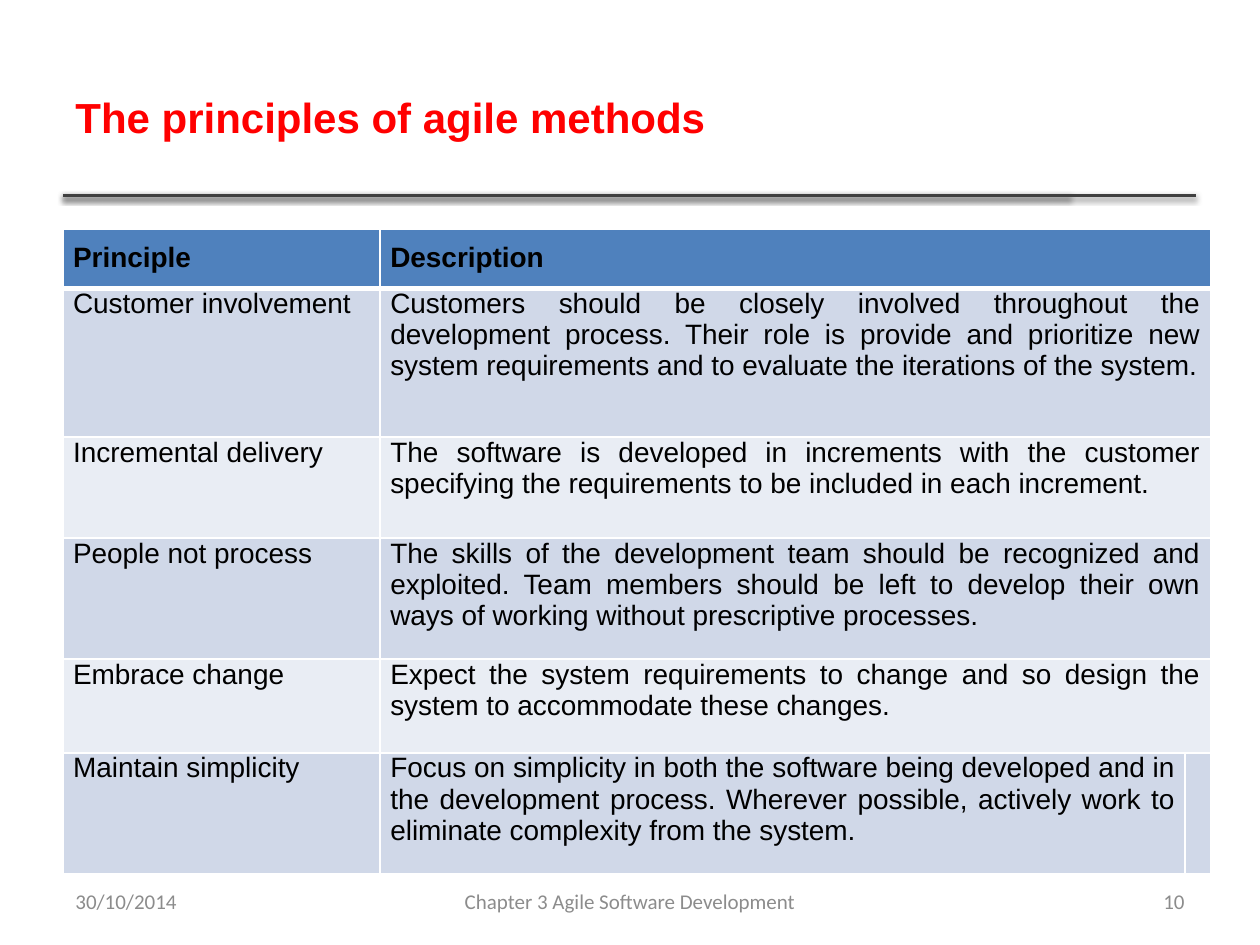
from dataclasses import dataclass

from lxml import etree
from pptx import Presentation
from pptx.dml.color import RGBColor
from pptx.enum.shapes import MSO_CONNECTOR
from pptx.enum.text import MSO_ANCHOR, PP_ALIGN
from pptx.oxml import parse_xml
from pptx.oxml.ns import nsdecls
from pptx.util import Pt

LEFT, CENTER, RIGHT, JUSTIFY = PP_ALIGN.LEFT, PP_ALIGN.CENTER, PP_ALIGN.RIGHT, PP_ALIGN.JUSTIFY
MIDDLE = MSO_ANCHOR.MIDDLE
STRAIGHT = MSO_CONNECTOR.STRAIGHT

HEADER_FILL = "4F81BD"
BAND_FILLS = ("D0D8E8", "E9EDF4")
BORDER_COLOR = "FFFFFF"
MARGIN_LEFT = 36
RULE_TOP = 111.6
COLUMN_WIDTHS = (181.3, 460, 10.2)


@dataclass(frozen=True)
class Label:
    text: str
    left: float
    top: float
    width: float
    height: float
    align: PP_ALIGN = LEFT
    size: float = 12
    font: str = "Calibri"
    color: str = "8C8C8C"
    bold: bool = False


@dataclass(frozen=True)
class Principle:
    name: str
    description: str
    height: float


LABELS = (
    Label("The principles of agile methods", MARGIN_LEFT, 21.6, 574.6, 90,
          size=24, font="Arial", color="FF0000", bold=True),
    Label("30/10/2014", MARGIN_LEFT, 500.4, 168, 28.8),
    Label("Chapter 3 Agile Software Development", 246, 500.4, 228, 28.8, CENTER),
    Label("10", 516, 500.4, 168, 28.8, RIGHT),
)

HEADER = Principle("Principle", "Description", 31.7)
PRINCIPLES = (
    Principle("Customer involvement",
              "Customers should be closely involved throughout the development process. "
              "Their role is provide and prioritize new system requirements and to "
              "evaluate the iterations of the system.", 85),
    Principle("Incremental delivery",
              "The software is developed in increments with the customer specifying the "
              "requirements to be included in each increment.", 57.6),
    Principle("People not process",
              "The skills of the development team should be recognized and exploited. "
              "Team members should be left to develop their own ways of working without "
              "prescriptive processes.", 69.3),
    Principle("Embrace change",
              "Expect the system requirements to change and so design the system to "
              "accommodate these changes.", 53.5),
    Principle("Maintain simplicity",
              "Focus on simplicity in both the software being developed and in the "
              "development process. Wherever possible, actively work to eliminate "
              "complexity from the system.", 69.1),
)


def rgb(color: str) -> RGBColor:
    return RGBColor.from_string(color)


def style_paragraph(para, align, size: float, font: str, color: str, bold: bool) -> None:
    para.alignment = align
    para.font.size = Pt(size)
    para.font.name = font
    para.font.color.rgb = rgb(color)
    para.font.bold = bold


def add_label(page, label: Label) -> None:
    box = page.shapes.add_textbox(
        Pt(label.left), Pt(label.top), Pt(label.width), Pt(label.height))
    frame = box.text_frame
    frame.word_wrap = True
    frame.vertical_anchor = MIDDLE
    frame.text = label.text
    style_paragraph(frame.paragraphs[0], label.align, label.size,
                    label.font, label.color, label.bold)


def add_rule(page, right: float) -> None:
    rule = page.shapes.add_connector(
        STRAIGHT, Pt(MARGIN_LEFT), Pt(RULE_TOP), Pt(right), Pt(RULE_TOP))
    rule.line.color.rgb = rgb("404040")
    rule.line.width = Pt(2)
    rule._element.spPr.append(parse_xml(
        f'<a:effectLst {nsdecls("a")}>'
        f'<a:outerShdw blurRad="{Pt(3.1)}" dist="{Pt(1.6)}" dir="5400000" rotWithShape="0">'
        '<a:srgbClr val="000000"><a:alpha val="38000"/></a:srgbClr>'
        '</a:outerShdw></a:effectLst>'))


def add_border(cell, side: str, width: float) -> None:
    border = parse_xml(
        f'<a:ln{side} {nsdecls("a")} w="{Pt(width)}">'
        f'<a:solidFill><a:srgbClr val="{BORDER_COLOR}"/></a:solidFill></a:ln{side}>')
    cell._tc.get_or_add_tcPr().append(border)


def style_cell(cell, row: int) -> None:
    is_header = row == 0
    cell.margin_left = cell.margin_right = Pt(5.76)
    cell.margin_top = Pt(7.2 if is_header else 0)
    cell.margin_bottom = Pt(7.2)
    widths = {"L": 1, "R": 1, "T": 3 if row == 1 else 1, "B": 3 if is_header else 1}
    for side, width in widths.items():
        add_border(cell, side, width)
    cell.fill.solid()
    cell.fill.fore_color.rgb = rgb(HEADER_FILL if is_header else BAND_FILLS[(row - 1) % 2])
    style_paragraph(cell.text_frame.paragraphs[0], JUSTIFY, 16, "Arial", "000000", is_header)


def add_principles_table(page) -> None:
    entries = (HEADER, *PRINCIPLES)
    table = page.shapes.add_table(
        len(entries), len(COLUMN_WIDTHS), Pt(MARGIN_LEFT), Pt(131.2),
        Pt(sum(COLUMN_WIDTHS)), Pt(sum(entry.height for entry in entries))).table
    for column, width in zip(table.columns, COLUMN_WIDTHS):
        column.width = Pt(width)
    for row, entry in enumerate(entries):
        table.rows[row].height = Pt(entry.height)
        for column, text in enumerate((entry.name, entry.description, "")):
            cell = table.cell(row, column)
            cell.text = text
            style_cell(cell, row)
        if row < len(entries) - 1:
            table.cell(row, 1).merge(table.cell(row, 2))


def main() -> None:
    deck = Presentation()
    deck.slide_width, deck.slide_height = Pt(720), Pt(540)
    page = deck.slides.add_slide(deck.slide_layouts[6])
    for right in (611.3, 683.3):
        add_rule(page, right)
    for label in LABELS:
        add_label(page, label)
    add_principles_table(page)
    deck.save("out.pptx")


if __name__ == "__main__":
    main()
